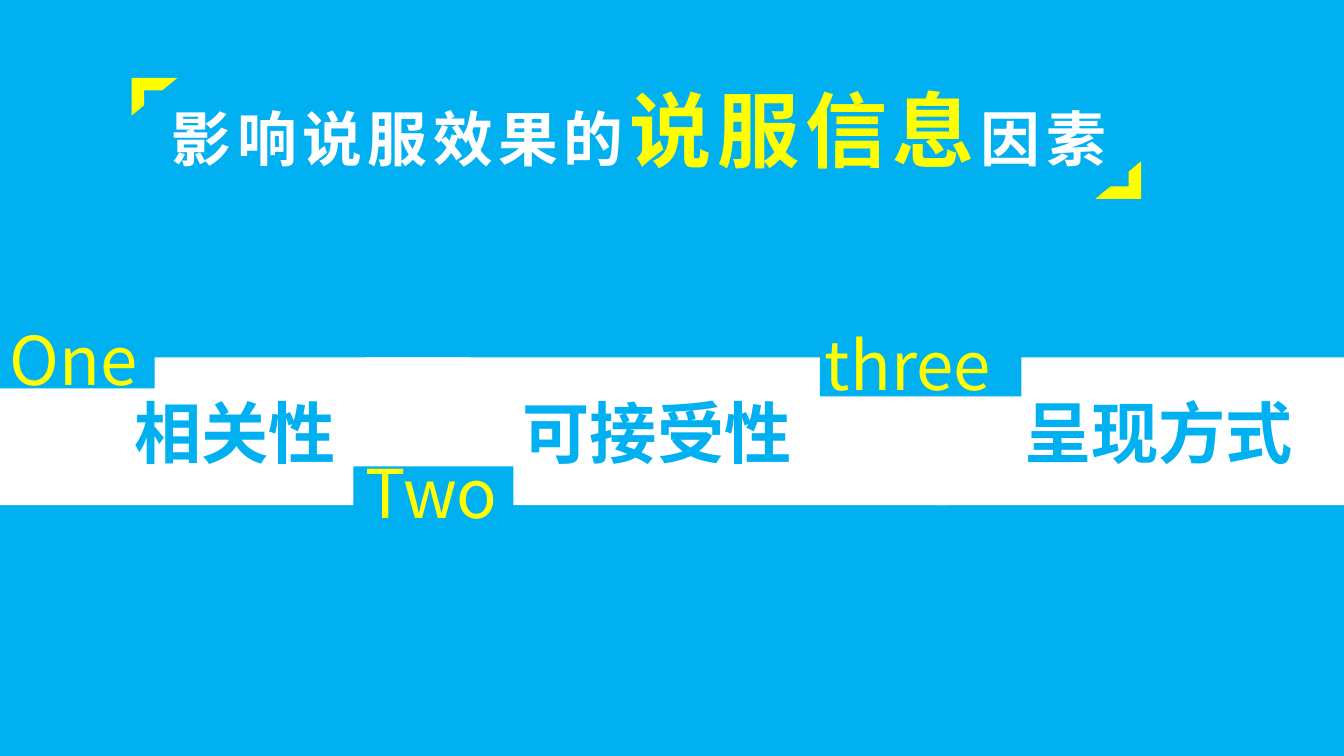
from lxml import etree
from pptx import Presentation
from pptx.dml.color import RGBColor
from pptx.enum.shapes import MSO_SHAPE
from pptx.enum.text import MSO_ANCHOR, PP_ALIGN
from pptx.oxml.ns import qn
from pptx.util import Inches, Pt

RECT, FRAME = MSO_SHAPE.RECTANGLE, MSO_SHAPE.HALF_FRAME
MIDDLE, TOP = MSO_ANCHOR.MIDDLE, MSO_ANCHOR.TOP
CENTER, LEFT = PP_ALIGN.CENTER, PP_ALIGN.LEFT
BLUE, WHITE, YELLOW = "00B0F0", "FFFFFF", "FFFF00"
HEAD, BODY = "Noto Sans CJK SC", "Noto Sans CJK JP"
WIDE = 10
HIGH = WIDE * 9 / 16

# Content: title runs are text, size, colour
TITLE = [("影响说服效果的", 32, WHITE), ("说服信息", 44, YELLOW), ("因素", 32, WHITE)]
# Corner marks: left, top, turn
MARKS = [(0.98, 0.58, 0), (8.15, 1.2, 180)]
# Band parts: text, left, width, left inset
BANDS = [("可接受性", 2.72, 4.34, 0.1), ("呈现方式", 6.97, 3.07, 0.33), ("相关性", 0, 3.5, 0.1)]
# Number tabs: text, tab (left, top, width), label (left, top, width)
TABS = [
    ("One", (-0.04, 2.28, 1.19), (-0.03, 2.32, 1.26)),
    ("Two", (2.63, 3.47, 1.19), (2.62, 3.31, 1.26)),
    ("three", (6.1, 2.34, 1.5), (6.04, 2.36, 2.2)),
]


def color(value):
    return RGBColor.from_string(value)


def box(kind, left, top, width, height, fill):
    shape = slide.shapes.add_shape(
        kind, Inches(left), Inches(top), Inches(width), Inches(height))
    shape.shadow.inherit = False
    shape.fill.solid()
    shape.fill.fore_color.rgb = color(fill)
    shape.line.fill.background()
    return shape


def label(left, top, width, height):
    return slide.shapes.add_textbox(
        Inches(left), Inches(top), Inches(width), Inches(height))


def write(shape, runs, font=HEAD, bold=True, space=0, align=LEFT, anchor=TOP, inset=0.1):
    frame = shape.text_frame
    frame.word_wrap = True
    frame.vertical_anchor = anchor
    frame.margin_left = Inches(inset)
    para = frame.paragraphs[0]
    para.alignment = align
    for text, size, ink in runs:
        run = para.add_run()
        run.text = text
        run.font.size = Pt(size)
        run.font.bold = bold
        run.font.name = font
        run.font.color.rgb = color(ink)
        props = run.font._element
        if space:
            props.set("spc", str(space * 100))
        # East Asian typeface sits right after the Latin one
        east = etree.Element(qn("a:ea"), typeface=font)
        props.find(qn("a:latin")).addnext(east)


deck = Presentation()
deck.slide_width, deck.slide_height = Inches(WIDE), Inches(HIGH)
slide = deck.slides.add_slide(deck.slide_layouts[6])
slide.background.fill.solid()
slide.background.fill.fore_color.rgb = color(BLUE)

# Title with corner marks
write(label(1.18, 0.54, 7.83, 0.84), TITLE, space=3)
for left, top, turn in MARKS:
    box(FRAME, left, top, 0.34, 0.28, YELLOW).rotation = turn

# White band
for text, left, width, inset in BANDS:
    part = box(RECT, left, 2.66, width, 1.1, WHITE)
    write(part, [(text, 36, BLUE)], align=CENTER, anchor=MIDDLE, inset=inset)

# Number tabs cut into the band
for text, tab, place in TABS:
    box(RECT, *tab, 0.61, BLUE)
    write(label(*place, 0.71), [(text, 36, YELLOW)], font=BODY, bold=False)

deck.save("out.pptx")
